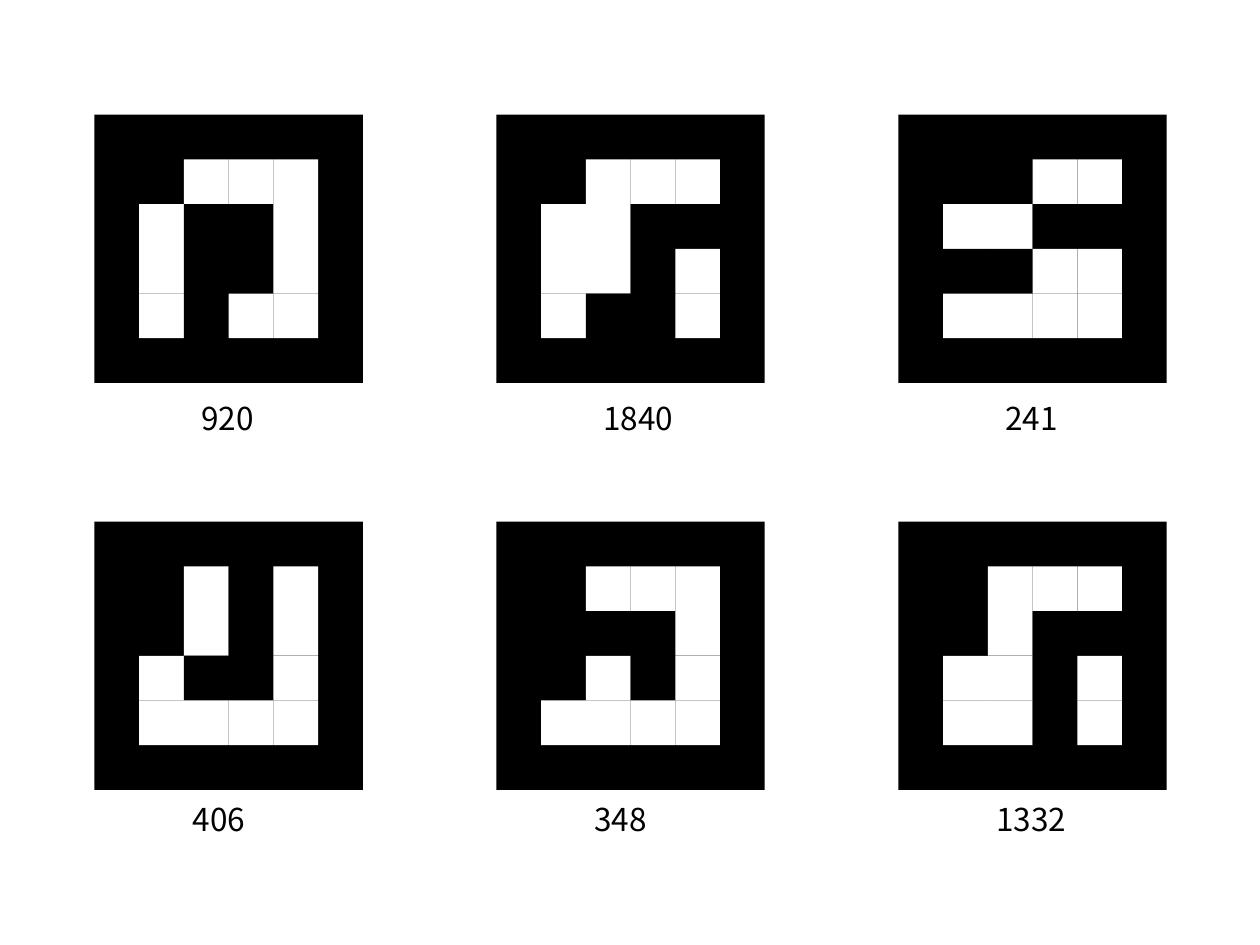
from pptx import Presentation
from pptx.dml.color import RGBColor
from pptx.enum.shapes import MSO_SHAPE
from pptx.enum.text import MSO_AUTO_SIZE, MSO_ANCHOR
from pptx.util import Inches, Pt

RECT = MSO_SHAPE.RECTANGLE
FIT_SHAPE = MSO_AUTO_SIZE.SHAPE_TO_FIT_TEXT
TOP = MSO_ANCHOR.TOP
BLACK = RGBColor(0, 0, 0)
WHITE = RGBColor(255, 255, 255)
FONT = "Noto Sans CJK KR"

MARKER_SIZE = Inches(2.13)
CELL = MARKER_SIZE // 6  # four data cells and a one-cell border on each side
LEFT = Inches(0.75)
COLUMN_PITCH = Inches(3.19)

# Each row: marker top, label offset (x, y), then (number, cells); 1 is white
ROWS = [
    (Inches(0.91), Inches(0.75), Inches(2.21), [
        ("920", ["0111", "1001", "1001", "1011"]),
        ("1840", ["0111", "1100", "1101", "1001"]),
        ("241", ["0011", "1100", "0011", "1111"]),
    ]),
    (Inches(4.14), Inches(0.68), Inches(2.16), [
        ("406", ["0101", "0101", "1001", "1111"]),
        ("348", ["0111", "0001", "0101", "1111"]),
        ("1332", ["0111", "0100", "1101", "1101"]),
    ]),
]


def add_square(shapes, left, top, size, color):
    sp = shapes.add_shape(RECT, left, top, size, size)
    sp.shadow.inherit = False
    sp.fill.solid()
    sp.fill.fore_color.rgb = color
    sp.line.fill.background()


def add_marker(slide, left, top, cells):
    """Black square with a 4 x 4 grid of data cells inside its border."""
    group = slide.shapes.add_group_shape()
    add_square(group.shapes, left, top, MARKER_SIZE, BLACK)
    for row, bits in enumerate(cells, start=1):
        for col, bit in enumerate(bits, start=1):
            color = WHITE if bit == "1" else BLACK
            add_square(group.shapes, left + col * CELL, top + row * CELL,
                       CELL, color)


def add_label(slide, left, top, number):
    width = Inches(0.2 + 0.14 * len(number))
    tf = slide.shapes.add_textbox(left, top, width, Inches(0.4)).text_frame
    tf.word_wrap = False
    tf.auto_size = FIT_SHAPE
    tf.vertical_anchor = TOP
    p = tf.paragraphs[0]
    p.text = number
    p.font.name = FONT
    p.font.size = Pt(18)
    p.font.color.rgb = BLACK


def main():
    prs = Presentation()
    prs.slide_width = Inches(10)
    prs.slide_height = Inches(7.5)
    slide = prs.slides.add_slide(prs.slide_layouts[6])

    # Two rows of three numbered markers
    for top, label_dx, label_dy, markers in ROWS:
        for col, (number, cells) in enumerate(markers):
            left = LEFT + col * COLUMN_PITCH
            add_marker(slide, left, top, cells)
            add_label(slide, left + label_dx, top + label_dy, number)

    prs.save("out.pptx")


if __name__ == "__main__":
    main()
